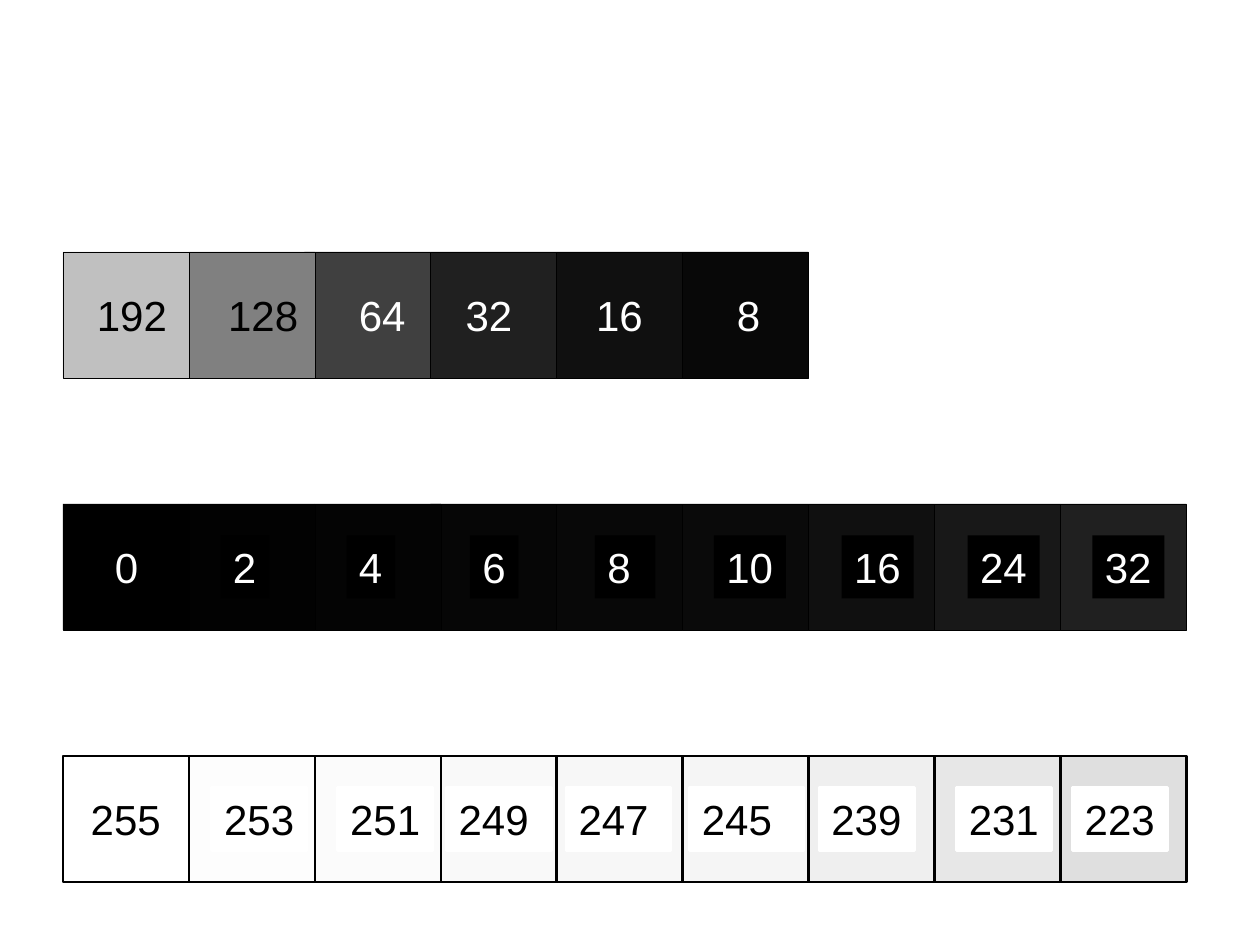
"""Build a slide of three rows of grey squares, each labelled with its grey level."""
from pptx import Presentation
from pptx.dml.color import RGBColor
from pptx.enum.shapes import MSO_SHAPE
from pptx.enum.text import MSO_ANCHOR, MSO_AUTO_SIZE, PP_ALIGN
from pptx.util import Pt

RECTANGLE = MSO_SHAPE.RECTANGLE
TOP = MSO_ANCHOR.TOP
GROW = MSO_AUTO_SIZE.SHAPE_TO_FIT_TEXT
LEFT = PP_ALIGN.LEFT

COLORS = {"black": "000000", "white": "FFFFFF"}
SQUARE = 72
ROW_LEFT = 36
OVERLAP = 6
LABEL_HEIGHT = 36
LABEL_MARGINS = 14.4
DIGIT_WIDTH = 13.35

ROWS = [
    {"top": 144, "overlap_from": 2, "border": 0.25, "backing": None, "edge": None,
     "levels": [(192, 48.25, "black"), (128, 123.25, "black"), (64, 198, "white"),
                (32, 259, "white", 54), (16, 333.5, "white", 60), (8, 414, "white")]},
    {"top": 288, "overlap_from": 3, "border": 0.25, "backing": "black", "edge": None,
     "levels": [(0, 58.5, "white"), (2, 126, "white"), (4, 198, "white"),
                (6, 268.5, "white"), (8, 340, "white", 34.5), (10, 408, "white"),
                (16, 481, "white"), (24, 553, "white"), (32, 624.25, "white")]},
    {"top": 432, "overlap_from": 3, "border": 1.5, "backing": "white", "edge": "white",
     "levels": [(255, 44.75, "black"), (253, 121, "black"), (251, 193, "black"),
                (249, 255, "black", 60), (247, 323.5, "black", 60),
                (245, 394, "black", 65.5), (239, 468, "black"),
                (231, 546.5, "black"), (223, 612.75, "black")]},
]


def write_text(frame, text, color, font="Arial", size=24, align=LEFT):
    paragraph = frame.paragraphs[0]
    paragraph.alignment = align
    run = paragraph.add_run()
    run.text = text
    run.font.name = font
    run.font.size = Pt(size)
    run.font.color.rgb = RGBColor.from_string(color)


class GreyScale:
    def __init__(self, slide, colors):
        self.slide = slide
        self.colors = colors

    def square(self, group, left, top, level, border):
        square = group.shapes.add_shape(RECTANGLE, Pt(left), Pt(top), Pt(SQUARE), Pt(SQUARE))
        square.shadow.inherit = False
        square.fill.solid()
        square.fill.fore_color.rgb = RGBColor(level, level, level)
        square.line.color.rgb = RGBColor.from_string(self.colors["black"])
        square.line.width = Pt(border)

    def label(self, group, left, top, level, ink, width, row):
        fitted = LABEL_MARGINS + DIGIT_WIDTH * len(str(level))
        label = group.shapes.add_textbox(Pt(left), Pt(top), Pt(width or fitted), Pt(LABEL_HEIGHT))
        if row["backing"]:
            label.fill.solid()
            label.fill.fore_color.rgb = RGBColor.from_string(self.colors[row["backing"]])
        if row["edge"]:
            label.line.color.rgb = RGBColor.from_string(self.colors[row["edge"]])
            label.line.width = Pt(row["border"])
        frame = label.text_frame
        frame.word_wrap = width is not None
        frame.auto_size = GROW
        frame.vertical_anchor = TOP
        write_text(frame, str(level), self.colors[ink])

    def row(self, row):
        group = self.slide.shapes.add_group_shape()
        for column, (level, *_) in reversed(list(enumerate(row["levels"]))):
            shift = OVERLAP if column >= row["overlap_from"] else 0
            self.square(group, ROW_LEFT + column * SQUARE - shift, row["top"], level, row["border"])
        label_top = row["top"] + (SQUARE - LABEL_HEIGHT) / 2
        for level, left, ink, *width in row["levels"]:
            self.label(group, left, label_top, level, ink, width[0] if width else None, row)


def main():
    deck = Presentation()
    deck.slide_width, deck.slide_height = Pt(720), Pt(540)
    scale = GreyScale(deck.slides.add_slide(deck.slide_layouts[6]), COLORS)
    for row in ROWS:
        scale.row(row)
    deck.save("out.pptx")


if __name__ == "__main__":
    main()
